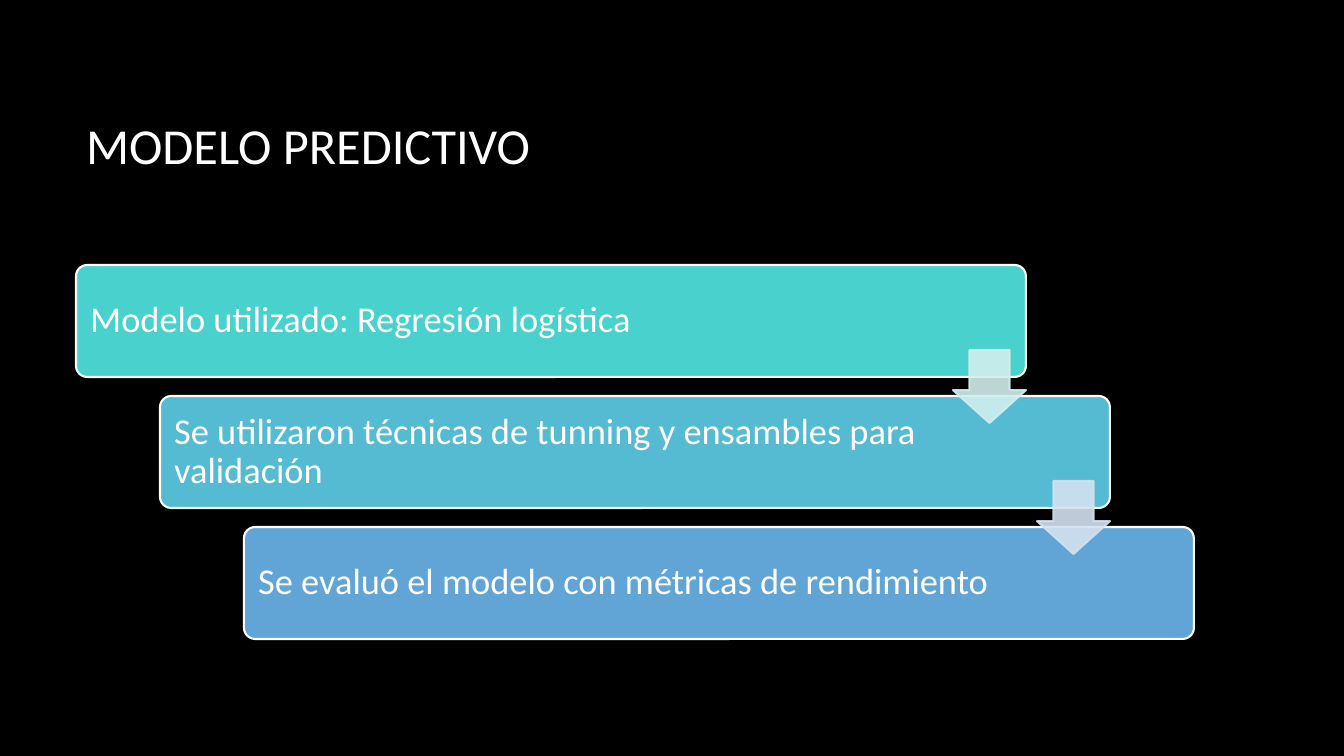
from lxml.etree import SubElement
from pptx import Presentation
from pptx.dml.color import RGBColor
from pptx.enum.shapes import MSO_SHAPE
from pptx.enum.text import MSO_ANCHOR, PP_ALIGN
from pptx.oxml.ns import qn
from pptx.util import Emu, Pt

SLIDE_WIDTH, SLIDE_HEIGHT = 1344, 756
TITLE_ONLY = 5
STEPS = [
    ("Modelo utilizado: Regresión logística", "49D1CD"),
    ("Se utilizaron técnicas de tunning y ensambles para validación", "55BBD3"),
    ("Se evaluó el modelo con métricas de rendimiento", "61A5D6"),
]
ARROW_COLORS = ["D0EEED", "D3E1F0"]
STEP_LEFT, STEP_TOP, STEP_WIDTH, STEP_HEIGHT = 76, 265, 950, 112
SHIFT_X, SHIFT_Y = 84, 131
ARROW_SIZE, ARROW_DROP = 73, 85


def px(length):
    return Emu(round(length * 12192000 / SLIDE_WIDTH))


def color(value):
    return RGBColor.from_string(value)


class StaircaseSlide:
    font_name = "Calibri"
    text_color = "FFFFFF"
    background_color = "000000"

    def __init__(self, presentation):
        self.slide = presentation.slides.add_slide(presentation.slide_layouts[TITLE_ONLY])
        fill = self.slide.background.fill
        fill.solid()
        fill.fore_color.rgb = color(self.background_color)

    def set_text(self, shape, text, size):
        frame = shape.text_frame
        frame.word_wrap = True
        frame.vertical_anchor = MSO_ANCHOR.MIDDLE
        paragraph = frame.paragraphs[0]
        paragraph.text = text
        paragraph.alignment = PP_ALIGN.LEFT
        paragraph.line_spacing = 0.9
        paragraph.font.name = self.font_name
        paragraph.font.size = Pt(size)
        paragraph.font.color.rgb = color(self.text_color)

    def title(self, text, left, top, width, height):
        title = self.slide.shapes.title
        title.left, title.top = px(left), px(top)
        title.width, title.height = px(width), px(height)
        self.set_text(title, text, 36)

    def shape(self, kind, left, top, width, height, adjustments, fill, line):
        shape = self.slide.shapes.add_shape(kind, px(left), px(top), px(width), px(height))
        shape.shadow.inherit = False
        for index, value in enumerate(adjustments):
            shape.adjustments[index] = value
        shape.fill.solid()
        shape.fill.fore_color.rgb = color(fill)
        shape.line.color.rgb = color(line)
        shape.line.width = Pt(1.5)
        return shape

    def step(self, text, left, top, fill):
        box = self.shape(MSO_SHAPE.ROUNDED_RECTANGLE, left, top, STEP_WIDTH, STEP_HEIGHT,
                         [0.1], fill, self.text_color)
        frame = box.text_frame
        frame.margin_left = frame.margin_top = frame.margin_bottom = px(11)
        frame.margin_right = px(168)
        self.set_text(box, text, 26)

    def arrow(self, left, top, fill):
        arrow = self.shape(MSO_SHAPE.DOWN_ARROW, left, top, ARROW_SIZE, ARROW_SIZE,
                           [0.55, 0.45], fill, fill)
        for rgb in arrow.element.spPr.iter(qn("a:srgbClr")):
            SubElement(rgb, qn("a:alpha"), val="90000")


def main():
    presentation = Presentation()
    presentation.slide_width = px(SLIDE_WIDTH)
    presentation.slide_height = px(SLIDE_HEIGHT)
    staircase = StaircaseSlide(presentation)
    staircase.title("MODELO PREDICTIVO", 76, 68, 1117, 160)
    for index, (text, fill) in enumerate(STEPS):
        staircase.step(text, STEP_LEFT + index * SHIFT_X, STEP_TOP + index * SHIFT_Y, fill)
    for index, fill in enumerate(ARROW_COLORS):
        staircase.arrow(STEP_LEFT + STEP_WIDTH - ARROW_SIZE + index * SHIFT_X,
                        STEP_TOP + ARROW_DROP + index * SHIFT_Y, fill)
    presentation.save("out.pptx")


if __name__ == "__main__":
    main()
